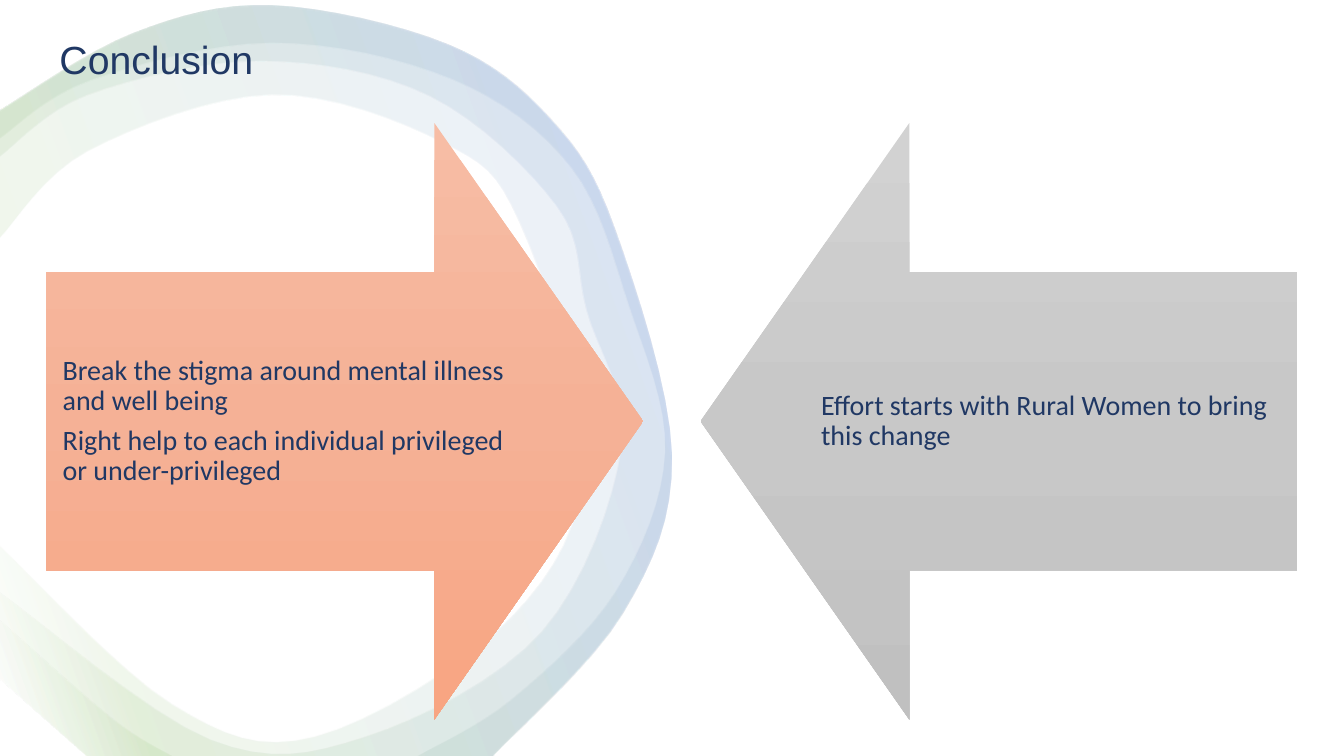
from lxml import etree
from pptx import Presentation
from pptx.dml.color import RGBColor
from pptx.enum.shapes import MSO_SHAPE
from pptx.enum.text import MSO_ANCHOR, MSO_AUTO_SIZE, PP_ALIGN
from pptx.oxml.ns import qn
from pptx.util import Pt

RIGHT, LEFT = MSO_SHAPE.RIGHT_ARROW, MSO_SHAPE.LEFT_ARROW
MIDDLE, BOTTOM = MSO_ANCHOR.MIDDLE, MSO_ANCHOR.BOTTOM
ALIGN, FIXED = PP_ALIGN.LEFT, MSO_AUTO_SIZE.NONE

COLORS = {
    "navy": "203864", "white": "FFFFFF", "green": "70AD47", "blue": "4472C4",
    "peach 1": "F7BDA5", "peach 2": "F5B196", "peach 3": "F8A582",
    "grey 1": "D2D2D2", "grey 2": "C8C8C8", "grey 3": "C0C0C0",
}
TITLE = "Conclusion"
ARROWS = [
    (RIGHT, "peach", ["Break the stigma around mental illness and well being",
                      "Right help to each individual privileged or under-privileged"]),
    (LEFT, "grey", ["Effort starts with Rural Women to bring this change"]),
]
ARROW_LEFT, ARROW_TOP, ARROW_SIZE, ARROW_GAP, INSET = 33.2, 87.8, 426.2, 41, 11.5
SWIRL_STOPS = [(2, "white"), (16, "green"), (85, "blue"), (100, "white")]

# Curves are knots in points. All swirls share the outer edge and the foot.
OUTER = [(352, 540), (445, 438), (480, 325), (439, 163), (394, 86),
         (320, 32), (194, 4), (95, 24), (0, 79)]
FOOT = [(0, 485), (62, 540)]
WIDE = [(0, 112), (63, 68), (186, 44), (307, 69), (398, 148), (419, 222),
        (444, 319), (387, 451), (261, 526), (150, 528), (0, 423)]
THICK = [(0, 170), (63, 108), (194, 68), (316, 102), (371, 159),
         (417, 327), (365, 441), (225, 526), (123, 503), (0, 390)]
THIN = [(0, 99), (64, 58), (194, 31), (323, 57), (408, 120),
        (449, 218), (475, 323), (440, 422), (366, 499), (298, 540)]
TAIL = [(0, 443), (80, 513), (123, 540)]
# A swirl is a list of outlines, each a list of curves joined by straight lines.
SWIRLS = [
    [[WIDE, FOOT, OUTER]],
    [[THICK, FOOT, OUTER]],
    [[THIN, OUTER], [TAIL, FOOT[::-1]]],
]
STEPS = 8


def smooth(knots):
    """Return points on a Catmull-Rom curve through the knots, in EMU."""
    ends = [knots[0], *knots, knots[-1]]
    points = []
    for a, b, c, d in zip(ends, ends[1:], ends[2:], ends[3:]):
        for step in range(STEPS):
            t = step / STEPS
            points.append(tuple(
                Pt(q + t * (r - p) / 2 + t * t * (2 * p - 5 * q + 4 * r - s) / 2
                   + t ** 3 * (3 * q - p - 3 * r + s) / 2)
                for p, q, r, s in zip(a, b, c, d)))
    return points + [tuple(Pt(v) for v in knots[-1])]


def shade(shape, stops, angle, alpha=100):
    """Fill with a gradient of (percent, colour name) stops, without outline."""
    shape.shadow.inherit = False
    shape.line.fill.background()
    shape.fill.gradient()
    shape.fill.gradient_angle = angle
    holder = shape._element.spPr.find(qn("a:gradFill")).find(qn("a:gsLst"))
    for old in list(holder):
        holder.remove(old)
    for place, name in stops:
        stop = etree.SubElement(holder, qn("a:gs"), pos=str(place * 1000))
        color = etree.SubElement(stop, qn("a:srgbClr"), val=COLORS[name])
        if alpha < 100:
            etree.SubElement(color, qn("a:alpha"), val=str(alpha * 1000))


def style(para, face, size):
    para.alignment = ALIGN
    para.line_spacing = 0.9
    para.font.name = face
    para.font.size = Pt(size)
    para.font.color.rgb = RGBColor.from_string(COLORS["navy"])


def add_swirl(shapes, outlines):
    pen = None
    for curves in outlines:
        points = [point for knots in curves for point in smooth(knots)]
        if pen is None:
            pen = shapes.build_freeform(*points[0], scale=1.0)
        else:
            pen.move_to(*points[0])
        pen.add_line_segments(points[1:], close=True)
    shade(pen.convert_to_shape(), SWIRL_STOPS, 20, alpha=10)


def add_arrow(shapes, left, kind, tint, lines):
    arrow = shapes.add_shape(kind, Pt(left), Pt(ARROW_TOP), Pt(ARROW_SIZE), Pt(ARROW_SIZE))
    arrow.adjustments[0] = 0.5
    arrow.adjustments[1] = 0.35
    shade(arrow, [(0, tint + " 1"), (50, tint + " 2"), (100, tint + " 3")], 270)
    frame = arrow.text_frame
    frame.word_wrap = True
    frame.vertical_anchor = MIDDLE
    frame.margin_left = frame.margin_right = Pt(INSET)
    frame.margin_top = frame.margin_bottom = Pt(INSET)
    frame.text = "\n".join(lines)
    for para in frame.paragraphs:
        style(para, "Calibri", 20)
        para.space_after = Pt(7)


def set_title(title):
    title.left, title.top, title.width, title.height = Pt(35.3), Pt(18.7), Pt(893.5), Pt(43.9)
    frame = title.text_frame
    frame.text = TITLE
    frame.auto_size = FIXED
    frame.vertical_anchor = BOTTOM
    style(frame.paragraphs[0], "Arial", 28)


def main():
    deck = Presentation()
    deck.slide_width, deck.slide_height = Pt(960), Pt(540)
    slide = deck.slides.add_slide(deck.slide_layouts[5])
    fill = slide.background.fill
    fill.solid()
    fill.fore_color.rgb = RGBColor.from_string(COLORS["white"])
    for outlines in SWIRLS:
        add_swirl(slide.shapes, outlines)
    title = slide.shapes.title
    set_title(title)
    slide.shapes._spTree.append(title._element)
    for i, arrow in enumerate(ARROWS):
        add_arrow(slide.shapes, ARROW_LEFT + i * (ARROW_SIZE + ARROW_GAP), *arrow)
    deck.save("out.pptx")


if __name__ == "__main__":
    main()
